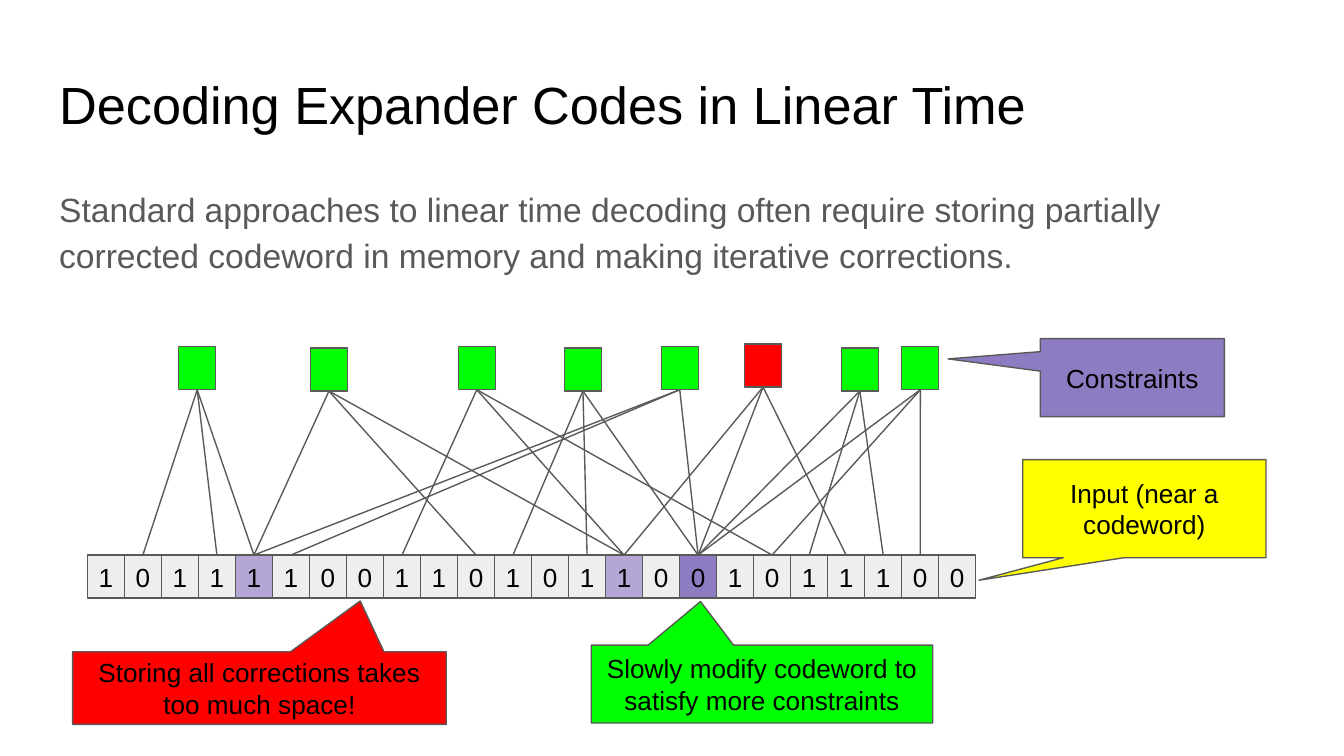
from dataclasses import dataclass
from typing import Any

import pptx
import pptx.dml.color
import pptx.enum.shapes
import pptx.enum.text
import pptx.oxml.ns
import pptx.util
from lxml import etree

Inches = pptx.util.Inches
Pt = pptx.util.Pt
SHAPE = pptx.enum.shapes.MSO_SHAPE
ALIGN = pptx.enum.text.PP_ALIGN
ANCHOR = pptx.enum.text.MSO_ANCHOR


@dataclass(frozen=True)
class Theme:
    font: str = "Arial"
    title_size: float = 28
    body_size: float = 18
    label_size: float = 14
    line_width: float = 0.75
    text: str = "000000"
    muted: str = "595959"
    cell: str = "EEEEEE"
    flipped: str = "B4A7D6"
    purple: str = "8E7CC3"
    green: str = "00FF00"
    red: str = "FF0000"
    yellow: str = "FFFF00"


@dataclass(frozen=True)
class Constraint:
    left: float
    top: float
    bits: tuple[int, ...]
    fill: str


@dataclass(frozen=True)
class Callout:
    text: str
    box: tuple[float, float, float, float]
    tip: tuple[float, ...]
    fill: str
    kind: Any = SHAPE.RECTANGULAR_CALLOUT


T = Theme()
SLIDE_W = 10
SLIDE_H = SLIDE_W * 9 / 16
CODEWORD = "101111001101011001011100"
HIGHLIGHTS = {4: T.flipped, 14: T.flipped, 16: T.purple}
ROW_LEFT, ROW_TOP, ROW_WIDTH = 0.65, 4.13, 6.61
CELL_W, CELL_H = ROW_WIDTH / len(CODEWORD), 0.32

# Each constraint checks three bit positions
CONSTRAINTS = [
    Constraint(1.33, 2.58, (1, 3, 4), T.green),
    Constraint(2.31, 2.59, (4, 10, 14), T.green),
    Constraint(3.41, 2.58, (8, 14, 18), T.green),
    Constraint(4.20, 2.59, (11, 13, 16), T.green),
    Constraint(4.92, 2.58, (4, 5, 16), T.green),
    Constraint(5.54, 2.56, (14, 16, 20), T.red),
    Constraint(6.26, 2.59, (16, 19, 21), T.green),
    Constraint(6.71, 2.58, (16, 18, 22), T.green),
]

CALLOUTS = [
    Callout("Input (near a codeword)", (7.61, 3.42, 1.81, 0.73),
            (-0.68, 0.73, 0), T.yellow, SHAPE.ROUNDED_RECTANGULAR_CALLOUT),
    Callout("Slowly modify codeword to satisfy more constraints",
            (4.4, 4.8, 2.54, 0.58), (-0.18, -1.06), T.green),
    Callout("Constraints", (7.74, 2.52, 1.37, 0.58), (-1, -0.24), T.purple),
    Callout("Storing all corrections takes too much space!",
            (0.54, 4.85, 2.78, 0.54), (0.27, -1.2), T.red),
]


def rgb(value: str) -> pptx.dml.color.RGBColor:
    return pptx.dml.color.RGBColor.from_string(value)


def apply(obj: Any, values: dict[str, Any]) -> None:
    for name, value in values.items():
        setattr(obj, name, value)


def write(sp: Any, text: str, size: float, color: str, margin: float,
          frame: dict[str, Any], para: dict[str, Any]) -> None:
    tf = sp.text_frame
    sides = ("left", "top", "right", "bottom")
    apply(tf, {f"margin_{side}": Inches(margin) for side in sides})
    apply(tf, {"word_wrap": True, **frame})
    p = tf.paragraphs[0]
    apply(p, para)
    r = p.add_run()
    r.text = text
    apply(r.font, {"name": T.font, "size": Pt(size)})
    r.font.color.rgb = rgb(color)


def outline(line: Any) -> None:
    line.color.rgb = rgb(T.muted)
    line.width = Pt(T.line_width)


def add_box(s: Any, kind: Any, box: tuple[float, float, float, float],
            fill: str, text: str = "", margin: float = 0) -> Any:
    sp = s.shapes.add_shape(kind, *map(Inches, box))
    sp.shadow.inherit = False
    sp.fill.solid()
    sp.fill.fore_color.rgb = rgb(fill)
    outline(sp.line)
    if text:
        write(sp, text, T.label_size, T.text, margin,
              {"vertical_anchor": ANCHOR.MIDDLE}, {"alignment": ALIGN.CENTER})
    return sp


def add_edge(s: Any, check: Any, cell: Any) -> None:
    edge = s.shapes.add_connector(pptx.enum.shapes.MSO_CONNECTOR.STRAIGHT, 0, 0, 0, 0)
    edge.begin_connect(check, 2)  # bottom centre
    edge.end_connect(cell, 0)  # top centre
    outline(edge.line)
    etree.SubElement(edge._element.spPr, pptx.oxml.ns.qn("a:effectLst"))


def add_callout(s: Any, c: Callout) -> None:
    sp = add_box(s, c.kind, c.box, c.fill, c.text, margin=0.1)
    for i, value in enumerate(c.tip):
        sp.adjustments[i] = value


def fill_placeholder(sp: Any, box: tuple[float, float, float, float], text: str,
                     size: float, color: str, para: dict[str, Any]) -> None:
    apply(sp, dict(zip(("left", "top", "width", "height"), map(Inches, box))))
    pPr = sp.text_frame.paragraphs[0]._p.get_or_add_pPr()
    for name in ("marL", "indent"):
        pPr.set(name, "0")
    etree.SubElement(pPr, pptx.oxml.ns.qn("a:buNone"))
    frame = {"vertical_anchor": ANCHOR.TOP,
             "auto_size": pptx.enum.text.MSO_AUTO_SIZE.NONE}
    write(sp, text, size, color, 0.1, frame,
          {"alignment": ALIGN.LEFT, "space_before": Pt(0), **para})


def main() -> None:
    prs = pptx.Presentation()
    apply(prs, {"slide_width": Inches(SLIDE_W), "slide_height": Inches(SLIDE_H)})
    s = prs.slides.add_slide(prs.slide_layouts[1])

    # Title and introduction
    fill_placeholder(s.shapes.title, (0.34, 0.49, 9.32, 0.63),
                     "Decoding Expander Codes in Linear Time",
                     T.title_size, T.text, {"line_spacing": 0.9})
    fill_placeholder(s.placeholders[1], (0.34, 1.26, 9.32, 0.95),
                     "Standard approaches to linear time decoding often require "
                     "storing partially corrected codeword in memory and making "
                     "iterative corrections.",
                     T.body_size, T.muted,
                     {"line_spacing": 1.15, "space_after": Pt(12)})

    # Codeword row
    cells = [
        add_box(s, SHAPE.RECTANGLE, (ROW_LEFT + i * CELL_W, ROW_TOP, CELL_W, CELL_H),
                HIGHLIGHTS.get(i, T.cell), bit)
        for i, bit in enumerate(CODEWORD)
    ]

    # Constraints and their edges to the codeword
    for c in CONSTRAINTS:
        check = add_box(s, SHAPE.RECTANGLE, (c.left, c.top, CELL_W, CELL_H), c.fill)
        for bit in c.bits:
            add_edge(s, check, cells[bit])

    # Explanatory callouts
    for callout in CALLOUTS:
        add_callout(s, callout)

    prs.save("out.pptx")


if __name__ == "__main__":
    main()
